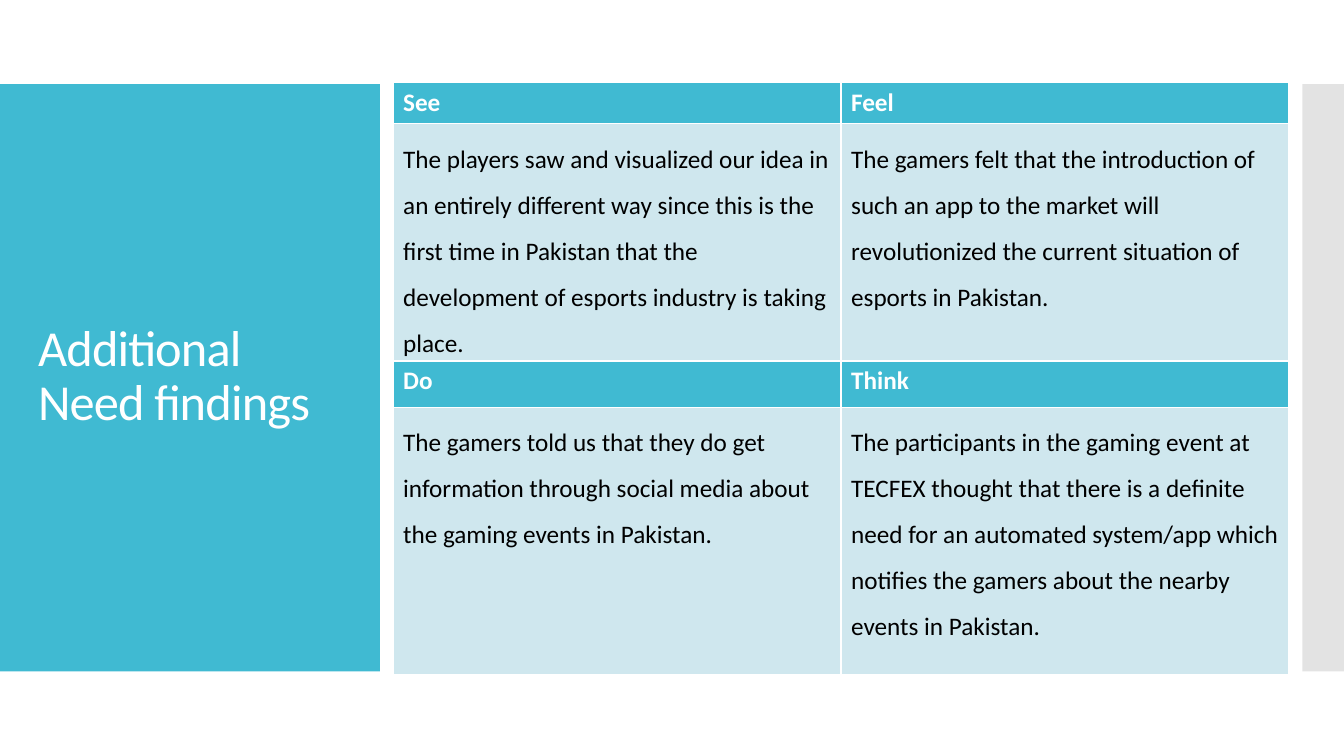
from pptx import Presentation
from pptx.util import Pt
from pptx.dml.color import RGBColor
from pptx.enum.shapes import MSO_SHAPE
from pptx.enum.text import MSO_ANCHOR, MSO_AUTO_SIZE, PP_ALIGN
from pptx.oxml.ns import qn
from lxml import etree

# Content
TITLE = "Additional Need findings"
TABLES = [  # top, row heights, (heading, finding) per column
    (59, (29.5, 172), [
        ("See", "The players saw and visualized our idea in an entirely different way "
                "since this is the first time in Pakistan that the development of "
                "esports industry is taking place."),
        ("Feel", "The gamers felt that the introduction of such an app to the market "
                 "will revolutionized the current situation of esports in Pakistan."),
    ]),
    (257.8, (33, 191), [
        ("Do", "The gamers told us that they do get information through social media "
               "about the gaming events in Pakistan."),
        ("Think", "The participants in the gaming event at TECFEX thought that there "
                  "is a definite need for an automated system/app which notifies the "
                  "gamers about the nearby events in Pakistan."),
    ]),
]
PANELS = [  # left, width, colour, opacity in percent
    (0, 271.4, "40BAD2", 100),
    (930.4, 29.6, "C8C8C8", 50),
]
TEAL, PALE, WHITE, BLACK = "40BAD2", "CFE7EE", "FFFFFF", "000000"
FONT = "Calibri"
LEFT, WIDE = 280.8, 640


def paint(fill, color):
    fill.solid()
    fill.fore_color.rgb = RGBColor.from_string(color)


def style(para, size, color, bold=False, space=1.0):
    font = para.font
    font.name, font.size, font.bold = FONT, Pt(size), bold
    font.color.rgb = RGBColor.from_string(color)
    para.line_spacing = space


deck = Presentation()
deck.slide_width, deck.slide_height = Pt(960), Pt(540)
slide = deck.slides.add_slide(deck.slide_layouts[5])
shapes = slide.shapes

# Side panels
for left, width, color, alpha in PANELS:
    panel = shapes.add_shape(MSO_SHAPE.RECTANGLE, Pt(left), Pt(60), Pt(width), Pt(419.5))
    panel.shadow.inherit = False
    panel.line.fill.background()
    paint(panel.fill, color)
    if alpha < 100:
        tint = panel.fill._xPr.find(".//" + qn("a:srgbClr"))
        etree.SubElement(tint, qn("a:alpha")).set("val", str(alpha * 1000))

# Title, brought in front of the panels
title = shapes.title
title.left, title.top, title.width, title.height = Pt(20), Pt(88.5), Pt(232), Pt(362)
frame = title.text_frame
frame.text = TITLE
frame.word_wrap = True
frame.auto_size = MSO_AUTO_SIZE.NONE
frame.vertical_anchor = MSO_ANCHOR.MIDDLE
para = frame.paragraphs[0]
para.alignment = PP_ALIGN.LEFT
style(para, 36, WHITE, space=0.9)
para.runs[0].font._element.set("spc", "-60")
shapes._spTree.append(title._element)

# Tables: heading row above finding row
for top, heights, columns in TABLES:
    table = shapes.add_table(2, len(columns), Pt(LEFT), Pt(top),
                             Pt(WIDE), Pt(sum(heights))).table
    for row, height in zip(table.rows, heights):
        row.height = Pt(height)
    for col, texts in enumerate(columns):
        for row, text in enumerate(texts):
            cell = table.cell(row, col)
            cell.text = text
            head = row == 0
            paint(cell.fill, TEAL if head else PALE)
            style(cell.text_frame.paragraphs[0], 18, WHITE if head else BLACK,
                  head, 1.0 if head else 1.5)

deck.save("out.pptx")
